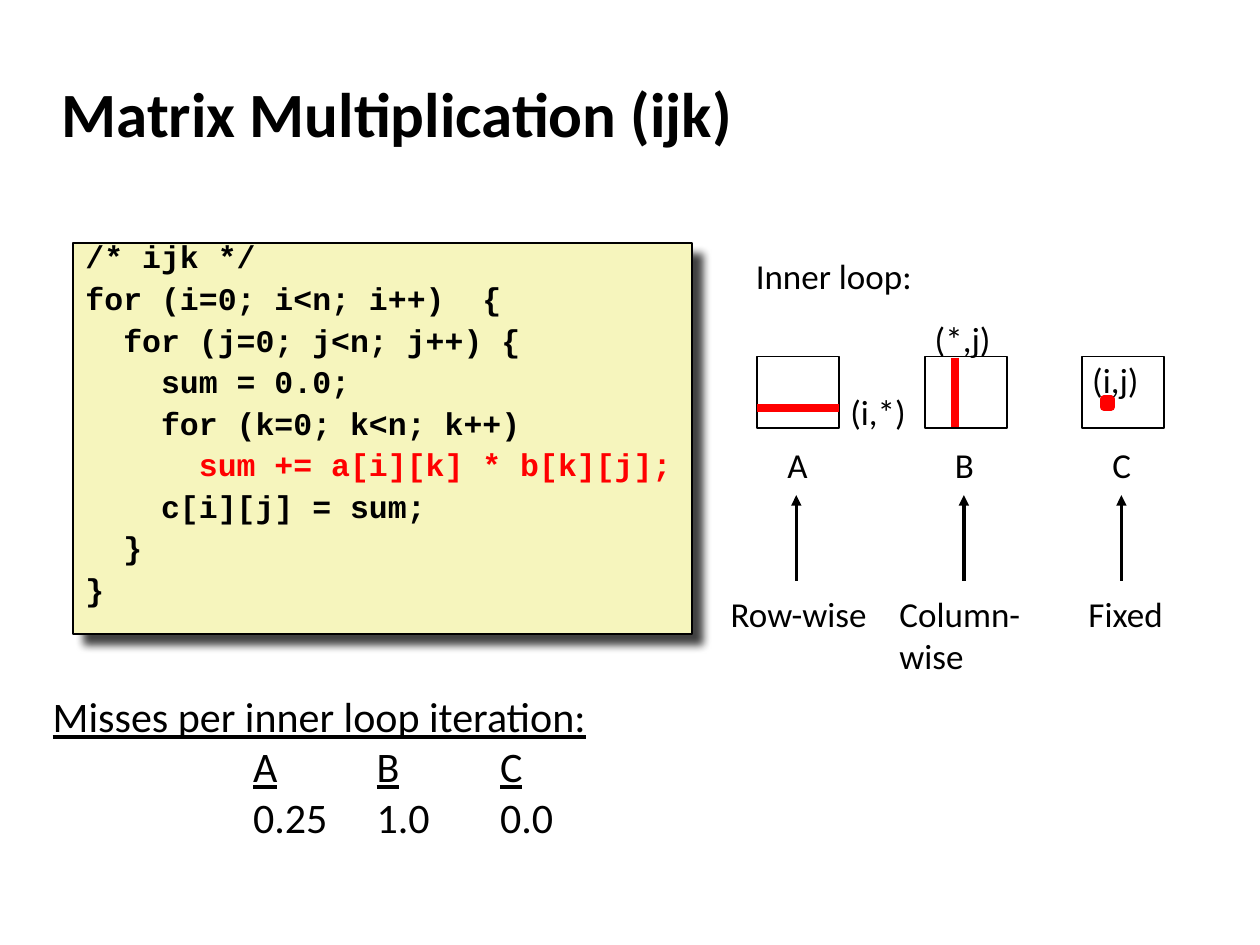
from pptx import Presentation
from pptx.dml.color import RGBColor
from pptx.enum.shapes import MSO_CONNECTOR, MSO_SHAPE
from pptx.enum.text import MSO_ANCHOR, MSO_AUTO_SIZE, PP_ALIGN
from pptx.oxml import parse_xml
from pptx.oxml.ns import nsdecls
from pptx.util import Inches, Pt
from lxml import etree

RECTANGLE = MSO_SHAPE.RECTANGLE
STRAIGHT = MSO_CONNECTOR.STRAIGHT
TOP, MIDDLE = MSO_ANCHOR.TOP, MSO_ANCHOR.MIDDLE
NO_FIT = MSO_AUTO_SIZE.NONE
LEFT = PP_ALIGN.LEFT

THEME = {
    "ink": RGBColor(0, 0, 0),
    "accent": RGBColor(0xFF, 0, 0),
    "paper": RGBColor(0xFF, 0xFF, 0xFF),
    "code_fill": RGBColor(0xF6, 0xF5, 0xBD),
    "title": {"name": "Calibri", "size": Pt(36), "bold": True},
    "code": {"name": "Courier New", "size": Pt(18), "bold": True},
    "label": {"name": "Calibri", "size": Pt(20)},
    "misses": {"name": "Calibri", "size": Pt(24)},
}

TITLE = "Matrix Multiplication (ijk)"
CODE = [
    "/* ijk */",
    "for (i=0; i<n; i++)  {",
    "  for (j=0; j<n; j++) {",
    "    sum = 0.0;",
    "    for (k=0; k<n; k++)",
    "      sum += a[i][k] * b[k][j];",
    "    c[i][j] = sum;",
    "  }",
    "}",
]
INNER_STATEMENT = "sum +="
MATRICES = [
    {"name": "A", "left": 6.01, "access": ["Row-wise"], "access_at": (5.7, 1.29)},
    {"name": "B", "left": 7.34, "access": ["Column-", "wise"], "access_at": (7.04, 1.17)},
    {"name": "C", "left": 8.59, "access": ["Fixed"], "access_at": (8.54, 0.79)},
]
NOTES = [
    ("Inner loop:", 5.9, 1.97, 1.45),
    ("(i,*)", 6.65, 3.05, 0.64),
    ("(*,j)", 7.32, 2.47, 0.65),
    ("(i,j)", 8.57, 2.8, 0.57),
]
MISSES_HEADING = "Misses per inner loop iteration:"
MISSES = [("A", "0.25"), ("B", "1.0"), ("C", "0.0")]

MATRIX_TOP, MATRIX_WIDTH, MATRIX_HEIGHT = 2.83, 0.65, 0.57
LABEL_HEIGHT, LINE_STEP = 0.43, 0.34
NAME_TOP, ACCESS_TOP = 3.47, 4.65
ARROW_BOTTOM, ARROW_TOP = 4.61, 3.93
FIRST_TAB, TAB_STEP = 1.59, 0.98

prs = Presentation()
prs.slide_width, prs.slide_height = Inches(10), Inches(7.5)
slide = prs.slides.add_slide(prs.slide_layouts[6])


def add_run(paragraph, text, style, color=THEME["ink"], **extra):
    run = paragraph.add_run()
    run.text = text
    for attribute, value in {**THEME[style], **extra}.items():
        setattr(run.font, attribute, value)
    run.font.color.rgb = color


def set_frame(frame, wrap, anchor=TOP):
    settings = {"word_wrap": wrap, "auto_size": NO_FIT, "vertical_anchor": anchor}
    for attribute, value in settings.items():
        setattr(frame, attribute, value)


def paragraphs(frame, count):
    return [frame.paragraphs[0]] + [frame.add_paragraph() for _ in range(count - 1)]


def add_text(lines, left, top, width, height, style="label", wrap=False, anchor=TOP):
    frame = slide.shapes.add_textbox(*map(Inches, (left, top, width, height))).text_frame
    set_frame(frame, wrap, anchor)
    for paragraph, line in zip(paragraphs(frame, len(lines)), lines):
        add_run(paragraph, line, style)


def add_box(left, top, width, height, fill, line=THEME["ink"], weight=1):
    box = slide.shapes.add_shape(RECTANGLE, *map(Inches, (left, top, width, height)))
    box.shadow.inherit = False
    box.fill.solid()
    box.fill.fore_color.rgb = fill
    box.line.color.rgb = line
    box.line.width = Pt(weight)
    return box


def add_line(x1, y1, x2, y2, color, weight, arrow=False):
    line = slide.shapes.add_connector(STRAIGHT, *map(Inches, (x1, y1, x2, y2)))
    line.line.color.rgb = color
    line.line.width = Pt(weight)
    if arrow:
        line.line._get_or_add_ln().append(
            parse_xml(f'<a:tailEnd {nsdecls("a")} type="triangle"/>'))
    line._element.spPr.append(parse_xml(f'<a:effectLst {nsdecls("a")}/>'))


def add_shadow(shape):
    shadow = parse_xml(
        f'<a:outerShdw {nsdecls("a")} blurRad="{Pt(5)}" dist="{Pt(8.5)}" dir="2700000" '
        'algn="tl" rotWithShape="0"><a:srgbClr val="000000"><a:alpha val="75000"/>'
        '</a:srgbClr></a:outerShdw>')
    shape._element.spPr.find("{*}effectLst").append(shadow)


def add_code():
    panel = add_box(0.58, 1.93, 4.91, 3.1, THEME["code_fill"])
    add_shadow(panel)
    set_frame(panel.text_frame, True)
    for row, (paragraph, line) in enumerate(zip(paragraphs(panel.text_frame, len(CODE)), CODE)):
        spacing = {"alignment": LEFT, "line_spacing": 0.65, "space_before": Pt(9.7 if row else 0)}
        for attribute, value in spacing.items():
            setattr(paragraph, attribute, value)
        inner = line.lstrip().startswith(INNER_STATEMENT)
        add_run(paragraph, line, "code", THEME["accent"] if inner else THEME["ink"])


def add_matrices():
    for matrix in MATRICES:
        left = matrix["left"]
        add_box(left, MATRIX_TOP, MATRIX_WIDTH, MATRIX_HEIGHT, THEME["paper"])
        add_text([matrix["name"]], left + 0.14, NAME_TOP, 0.36, LABEL_HEIGHT)
        arrow_x = left + 0.31
        add_line(arrow_x, ARROW_BOTTOM, arrow_x, ARROW_TOP, THEME["ink"], 2, arrow=True)
        access_left, access_width = matrix["access_at"]
        access_height = LABEL_HEIGHT + LINE_STEP * (len(matrix["access"]) - 1)
        add_text(matrix["access"], access_left, ACCESS_TOP, access_width, access_height)
    add_line(6.01, 3.24, 6.01 + MATRIX_WIDTH, 3.24, THEME["accent"], 4.5)
    add_line(7.58, 2.84, 7.58, 3.39, THEME["accent"], 4.5)
    add_box(8.76, 3.17, 0.06, 0.06, THEME["accent"], THEME["accent"], 4.5)
    for text, left, top, width in NOTES:
        add_text([text], left, top, width, LABEL_HEIGHT)


def add_misses():
    frame = slide.shapes.add_textbox(*map(Inches, (0.32, 5.43, 5.55, 1.33))).text_frame
    set_frame(frame, True)
    heading, *rows = paragraphs(frame, 3)
    add_run(heading, MISSES_HEADING, "misses", underline=True)
    for row, paragraph in enumerate(rows):
        tabs = etree.SubElement(paragraph._p.get_or_add_pPr(),
                                heading._p.tag.replace("}p", "}tabLst"))
        for column, cells in enumerate(MISSES):
            position = Inches(FIRST_TAB + TAB_STEP * column)
            tabs.append(parse_xml(f'<a:tab {nsdecls("a")} pos="{position}" algn="l"/>'))
            add_run(paragraph, "\t", "misses")
            add_run(paragraph, cells[row], "misses", underline=row == 0)


add_text([TITLE], 0.39, 0.48, 8.3, 0.83, "title", wrap=True, anchor=MIDDLE)
add_code()
add_matrices()
add_misses()
prs.save("out.pptx")
